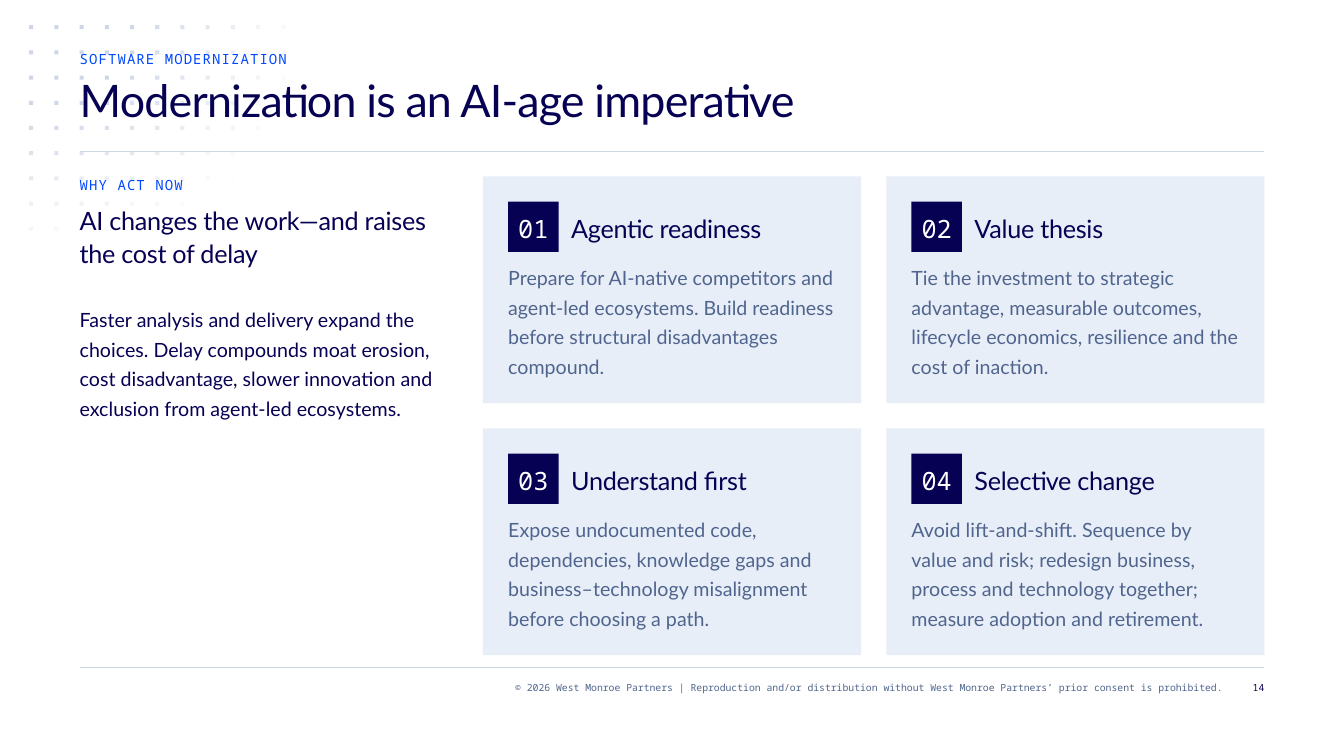
"""Build the software modernization slide."""
from itertools import product
from math import hypot

from lxml.etree import SubElement
from pptx import Presentation
from pptx.dml.color import RGBColor
from pptx.enum.shapes import MSO_CONNECTOR, MSO_SHAPE
from pptx.enum.text import MSO_ANCHOR, PP_ALIGN
from pptx.oxml.ns import qn
from pptx.util import Inches, Pt

NAVY = RGBColor(0x07, 0x01, 0x54)
BLUE = RGBColor(0x00, 0x47, 0xFF)
SLATE = RGBColor(0x50, 0x65, 0x8E)
MIST = RGBColor(0xCE, 0xD7, 0xE6)
PALE = RGBColor(0xE8, 0xEE, 0xF8)
WHITE = RGBColor(0xFF, 0xFF, 0xFF)

SANS, MONO = "Lato", "Noto Sans Mono"
UNIT, SHIFT = 0.25, 0.04
LEFT, RIGHT = 3, 50
WIDE = RIGHT - LEFT
CARD_W, CARD_H, GAP = 15, 9, 1

LABEL = dict(name=MONO, size=10, color=BLUE, line=12, track=80)
TITLE = dict(name=SANS, size=32, color=NAVY, line=36, track=-60)
HEAD = dict(name=SANS, size=18, color=NAVY, line=24, track=-20)
BODY = dict(name=SANS, size=14, color=NAVY, line=21)
NOTE = dict(BODY, color=SLATE)
BADGE = dict(name=MONO, size=18, color=WHITE, line=24, align=PP_ALIGN.CENTER)
FOOT = dict(name=MONO, size=7, color=SLATE, line=9, align=PP_ALIGN.RIGHT)
PAGE = dict(FOOT, color=NAVY)

CARDS = [
    ("Agentic readiness",
     "Prepare for AI-native competitors and agent-led ecosystems. "
     "Build readiness before structural disadvantages compound."),
    ("Value thesis",
     "Tie the investment to strategic advantage, measurable outcomes, "
     "lifecycle economics, resilience and the cost of inaction."),
    ("Understand first",
     "Expose undocumented code, dependencies, knowledge gaps and "
     "business–technology misalignment before choosing a path."),
    ("Selective change",
     "Avoid lift-and-shift. Sequence by value and risk; redesign business, "
     "process and technology together; measure adoption and retirement."),
]


def place(col, row, wide, high):
    """Turn grid columns and rows into slide lengths."""
    return (Inches(SHIFT + col * UNIT), Inches(row * UNIT),
            Inches(wide * UNIT), Inches(high * UNIT))


def write(shape, words, form, anchor=MSO_ANCHOR.TOP):
    """Fill a shape with one styled paragraph."""
    frame = shape.text_frame
    setup = dict(word_wrap=True, vertical_anchor=anchor, margin_left=0,
                 margin_right=0, margin_top=0, margin_bottom=0)
    for key, value in setup.items():
        setattr(frame, key, value)
    para = frame.paragraphs[0]
    para.alignment = form.get("align", PP_ALIGN.LEFT)
    para.line_spacing = Pt(form["line"])
    run = para.add_run()
    run.text = words
    for key, value in dict(name=form["name"], size=Pt(form["size"])).items():
        setattr(run.font, key, value)
    run.font.color.rgb = form["color"]
    if "track" in form:
        run.font._element.set("spc", str(form["track"]))


def text(slide, words, form, *grid):
    """Add a text box on the grid."""
    write(slide.shapes.add_textbox(*place(*grid)), words, form)


def block(slide, color, *grid):
    """Add a plain filled rectangle on the grid."""
    shape = slide.shapes.add_shape(MSO_SHAPE.RECTANGLE, *place(*grid))
    shape.shadow.inherit = False
    shape.fill.solid()
    shape.fill.fore_color.rgb = color
    shape.line.fill.background()
    return shape


def rule(slide, row):
    """Draw a thin line across the content width."""
    x, y, wide, _ = place(LEFT, row, WIDE, 0)
    line = slide.shapes.add_connector(MSO_CONNECTOR.STRAIGHT, x, y, x + wide, y)
    line.line.color.rgb = MIST
    line.line.width = Pt(0.75)
    SubElement(line._element.spPr, qn("a:effectLst"))


def dots(slide):
    """Draw a corner field of dots that fades with distance."""
    for col, row in product(range(11), range(9)):
        alpha = min(100, int(152.5 - hypot(13.8 * col, 16.75 * row)))
        if alpha < 2:
            continue
        dot = block(slide, MIST, col + 1, row + 1, 0.16, 0.16)
        if alpha < 100:
            tint = dot.fill._xPr.find(".//" + qn("a:srgbClr"))
            SubElement(tint, qn("a:alpha")).set("val", str(alpha * 1000))


def card(slide, index, head, body):
    """Add one numbered card in the two-by-two grid."""
    down, over = divmod(index, 2)
    col = LEFT + (over + 1) * (CARD_W + GAP)
    row = 7 + down * (CARD_H + GAP)
    block(slide, PALE, col, row, CARD_W, CARD_H)
    text(slide, body, NOTE, col + 1, row + 3.33, CARD_W - 2, 4.67)
    badge = block(slide, NAVY, col + 1, row + 1, 2, 2)
    write(badge, f"{index + 1:02}", BADGE, MSO_ANCHOR.MIDDLE)
    text(slide, head, HEAD, col + 3.5, row + 1.33, 11, 1.33)


def main():
    """Build and save the slide."""
    deck = Presentation()
    deck.slide_width, deck.slide_height = Inches(13.33), Inches(7.5)
    slide = deck.slides.add_slide(deck.slide_layouts[6])
    dots(slide)
    rule(slide, 6.02)
    rule(slide, 26.5)
    text(slide, "SOFTWARE MODERNIZATION", LABEL, LEFT, 2, WIDE, 0.67)
    text(slide, "Modernization is an AI-age imperative", TITLE,
         LEFT, 3, WIDE, 3)
    text(slide, "WHY ACT NOW", LABEL, LEFT, 7, CARD_W, 0.67)
    text(slide, "AI changes the work—and raises the cost of delay", HEAD,
         LEFT, 8, CARD_W, 3)
    text(slide, "Faster analysis and delivery expand the choices. Delay "
         "compounds moat erosion, cost disadvantage, slower innovation and "
         "exclusion from agent-led ecosystems.", BODY, LEFT, 12, CARD_W, 4.67)
    for index, (head, body) in enumerate(CARDS):
        card(slide, index, head, body)
    text(slide, "© 2026 West Monroe Partners | Reproduction and/or "
         "distribution without West Monroe Partners’ prior consent is "
         "prohibited.", FOOT, 9.35, 27, 39, 1)
    text(slide, "14", PAGE, RIGHT - 1.33, 27, 1.33, 1)
    deck.save("out.pptx")


if __name__ == "__main__":
    main()
